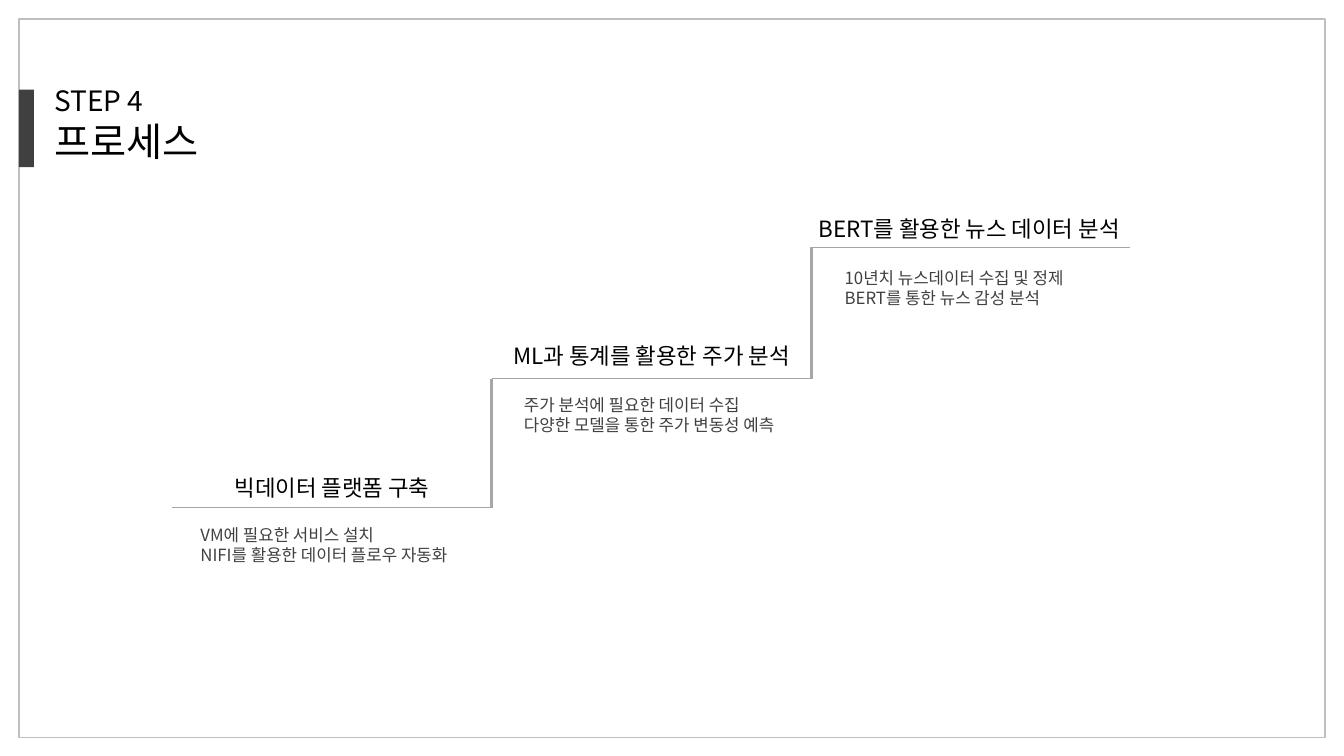
from lxml import etree
from pptx import Presentation
from pptx import util as u
from pptx.dml.color import RGBColor
from pptx.enum import shapes, text
from pptx.oxml.ns import qn

COLORS = {"frame": "BFBFBF", "stair": "A6A6A6", "dark": "404040", "black": "000000"}
FONT = "Noto Sans CJK KR"
STEPS = [
    {"left": 123.1, "level": 362.2, "title": (82.1, 334.8), "title_text": "빅데이터 플랫폼 구축",
     "detail": (136.1, 371.5, 211), "lines": ["VM에 필요한 서비스 설치", "NIFI를 활용한 데이터 플로우 자동화"]},
    {"left": 351.4, "level": 270.7, "title": (310.3, 241.2), "title_text": "ML과 통계를 활용한 주가 분석",
     "detail": (367.2, 278.6, 217.4), "lines": ["주가 분석에 필요한 데이터 수집", "다양한 모델을 통한 주가 변동성 예측"]},
    {"left": 578.5, "level": 177.1, "title": (537.1, 149.8), "title_text": "BERT를 활용한 뉴스 데이터 분석",
     "detail": (596.2, 187.9, 190.8), "lines": ["10년치 뉴스데이터 수집 및 정제", "BERT를 통한 뉴스 감성 분석"]},
]
STEP_WIDTH = 229


class SlideBuilder:
    """Draw styled elements on one slide, with all lengths in points."""

    def __init__(self, slide, colors, font):
        self.slide = slide
        self.colors = colors
        self.font = font

    def color(self, name):
        return RGBColor.from_string(self.colors[name])

    def rectangle(self, left, top, width, height, fill=None, line=None):
        shape = self.slide.shapes.add_shape(
            shapes.MSO_SHAPE.RECTANGLE, u.Pt(left), u.Pt(top), u.Pt(width), u.Pt(height))
        shape.shadow.inherit = False
        if fill:
            shape.fill.solid()
            shape.fill.fore_color.rgb = self.color(fill)
        else:
            shape.fill.background()
        if line:
            shape.line.color.rgb = self.color(line)
            shape.line.width = u.Pt(1)
        else:
            shape.line.fill.background()

    def line(self, start, end, width):
        connector = self.slide.shapes.add_connector(
            shapes.MSO_CONNECTOR.STRAIGHT, *(u.Pt(value) for value in (*start, *end)))
        connector.line.color.rgb = self.color("stair")
        connector.line.width = u.Pt(width)
        properties = connector._element.find(qn("p:spPr"))
        etree.SubElement(properties, qn("a:effectLst"))

    def text_box(self, lines, left, top, width, height, sizes, color="black", centered=False, wrap=True):
        box = self.slide.shapes.add_textbox(u.Pt(left), u.Pt(top), u.Pt(width), u.Pt(height))
        frame = box.text_frame
        frame.word_wrap = wrap
        frame.text = "\n".join(lines)
        for paragraph, size in zip(frame.paragraphs, sizes):
            paragraph.alignment = text.PP_ALIGN.CENTER if centered else text.PP_ALIGN.LEFT
            for run in paragraph.runs:
                run.font.size = u.Pt(size)
                run.font.color.rgb = self.color(color)
                run.font.name = self.font
                properties = run._r.get_or_add_rPr()
                etree.SubElement(properties, qn("a:ea")).set("typeface", self.font)


def main():
    presentation = Presentation()
    presentation.slide_width = u.Pt(960)
    presentation.slide_height = u.Pt(540)
    slide = presentation.slides.add_slide(presentation.slide_layouts[6])
    builder = SlideBuilder(slide, COLORS, FONT)

    builder.rectangle(13.5, 13.5, 933, 513.5, line="frame")
    builder.rectangle(13.5, 64, 10.8, 55.5, fill="dark")
    builder.text_box(["STEP 4", "프로세스"], 31.7, 56.2, 382, 65.5, sizes=[20, 28])

    for step in STEPS:
        left, level = step["left"], step["level"]
        builder.line((left, level), (left + STEP_WIDTH, level), 0.75)
        builder.text_box([step["title_text"]], *step["title"], 310.3, 26.6, sizes=[16], centered=True)
        builder.text_box(step["lines"], *step["detail"], 36, sizes=[12, 12], color="dark", wrap=False)

    for lower, upper in zip(STEPS, STEPS[1:]):
        riser = lower["left"] + STEP_WIDTH - 0.75
        builder.line((riser, upper["level"]), (riser, lower["level"]), 2)

    presentation.save("out.pptx")


if __name__ == "__main__":
    main()
